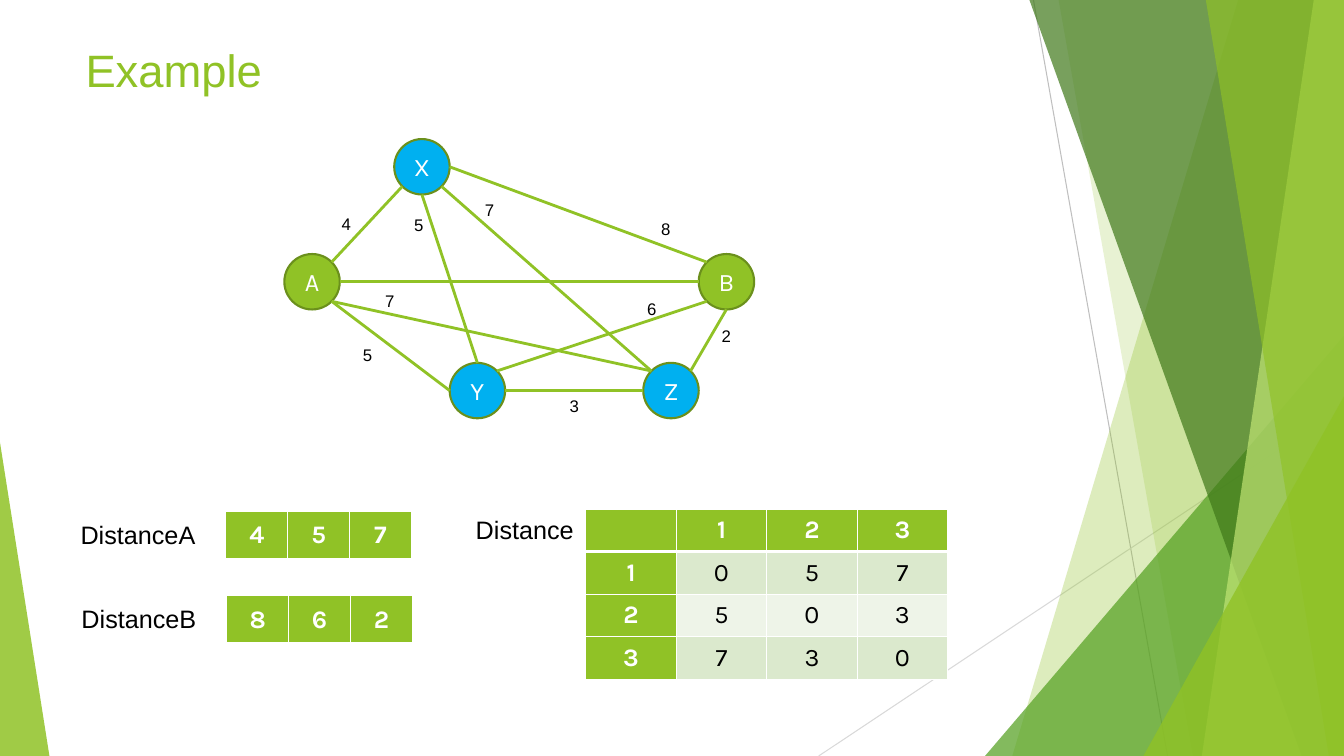
from math import hypot

from lxml.etree import SubElement
from pptx import Presentation
from pptx.dml.color import RGBColor
from pptx.enum.shapes import MSO_CONNECTOR, MSO_SHAPE
from pptx.enum.text import MSO_ANCHOR, PP_ALIGN
from pptx.oxml.ns import qn
from pptx.util import Inches, Pt

GREEN = RGBColor(0x90, 0xC2, 0x26)
MID_GREEN = RGBColor(0x54, 0xA0, 0x21)
DARK_GREEN = RGBColor(0x3F, 0x78, 0x19)
LIME = RGBColor(0xC0, 0xE4, 0x74)
OUTLINE = RGBColor(0x6B, 0x90, 0x1C)
BLUE = RGBColor(0x00, 0xB0, 0xF0)
BAND = RGBColor(0xDB, 0xE9, 0xCD)
PALE_BAND = RGBColor(0xEE, 0xF4, 0xE8)
GREY = RGBColor(0xBF, 0xBF, 0xBF)
LIGHT_GREY = RGBColor(0xD9, 0xD9, 0xD9)
WHITE = RGBColor(0xFF, 0xFF, 0xFF)
BLACK = RGBColor(0, 0, 0)

WIDTH, HEIGHT = 13.33, 7.5
NODE_SIZE = 0.55
NODES = {
    "X": (3.91, 1.38, BLUE),
    "A": (2.82, 2.52, GREEN),
    "B": (6.93, 2.52, GREEN),
    "Z": (6.38, 3.6, BLUE),
    "Y": (4.46, 3.6, BLUE),
}
SITES = {
    "N": (0, -1), "NE": (1, -1), "E": (1, 0), "SE": (1, 1),
    "S": (0, 1), "SW": (-1, 1), "W": (-1, 0), "NW": (-1, -1),
}
EDGES = [
    ("A", "NE", "X", "SW"), ("X", "S", "Y", "N"), ("Y", "E", "Z", "W"),
    ("Z", "NE", "B", "S"), ("Y", "NE", "B", "SW"), ("B", "NW", "X", "E"),
    ("A", "SE", "Y", "W"), ("A", "E", "B", "W"), ("X", "SE", "Z", "NW"),
    ("A", "SE", "Z", "NW"),
]
WEIGHTS = [
    ("4", 3.29, 2.07), ("5", 3.5, 3.37), ("7", 3.72, 2.83),
    ("8", 6.46, 2.12), ("6", 6.32, 2.91), ("2", 7.06, 3.18),
    ("5", 4.01, 2.08), ("7", 4.71, 1.93), ("3", 5.55, 3.88),
]
DISTANCES = [["", "1", "2", "3"], ["1", "0", "5", "7"],
             ["2", "5", "0", "3"], ["3", "7", "3", "0"]]


def set_font(p, size, name, color, bold=False):
    """Set the font of a whole paragraph."""
    p.font.size, p.font.name, p.font.bold = Pt(size), name, bold
    p.font.color.rgb = color


def add_line(s, start, end, color, width):
    """Draw a straight line between two points."""
    line = s.shapes.add_connector(
        MSO_CONNECTOR.STRAIGHT, *(Inches(v) for v in (*start, *end)))
    line.line.color.rgb, line.line.width = color, Pt(width)
    SubElement(line._element.spPr, qn("a:effectLst"))


def fill_facet(sp, color, opacity):
    """Give a background facet a translucent fill and no outline."""
    sp.shadow.inherit = False
    sp.fill.solid()
    sp.fill.fore_color.rgb = color
    sp.line.fill.background()
    clr = sp._element.spPr.find(qn("a:solidFill"))[0]
    SubElement(clr, qn("a:alpha"), val=str(opacity * 1000))


def add_panel(s, top_left, bottom_left, color, opacity):
    """Draw a slanted panel that reaches the right edge of the slide."""
    corners = [(top_left, 0), (WIDTH, 0), (WIDTH, HEIGHT), (bottom_left, HEIGHT)]
    points = [(Inches(x), Inches(y)) for x, y in corners]
    builder = s.shapes.build_freeform(*points[0])
    builder.add_line_segments(points[1:])
    fill_facet(builder.convert_to_shape(), color, opacity)


def add_corner(s, left, top, width, apex, color, opacity):
    """Draw a triangle standing on the bottom edge of the slide."""
    sp = s.shapes.add_shape(MSO_SHAPE.ISOSCELES_TRIANGLE, Inches(left), Inches(top),
                            Inches(width), Inches(HEIGHT - top))
    sp.adjustments[0] = apex
    fill_facet(sp, color, opacity)


def add_text(s, text, left, top, width, height, size, color=BLACK):
    """Add a one-line text box."""
    sp = s.shapes.add_textbox(Inches(left), Inches(top), Inches(width), Inches(height))
    tf = sp.text_frame
    tf.word_wrap = False
    tf.vertical_anchor = MSO_ANCHOR.MIDDLE
    tf.text = text
    set_font(tf.paragraphs[0], size, "Arial", color)


def add_node(s, name, left, top, color):
    """Draw a graph node with its letter."""
    sp = s.shapes.add_shape(MSO_SHAPE.OVAL, Inches(left), Inches(top),
                            Inches(NODE_SIZE), Inches(NODE_SIZE))
    sp.shadow.inherit = False
    sp.fill.solid()
    sp.fill.fore_color.rgb = color
    sp.line.color.rgb, sp.line.width = OUTLINE, Pt(1.5)
    tf = sp.text_frame
    tf.vertical_anchor = MSO_ANCHOR.MIDDLE
    tf.text = name
    p = tf.paragraphs[0]
    p.alignment = PP_ALIGN.CENTER
    set_font(p, 18, "Karla", WHITE)


def site_point(name, site):
    """Return the point on a node's rim in a compass direction."""
    left, top, _ = NODES[name]
    dx, dy = SITES[site]
    radius = NODE_SIZE / 2
    reach = radius / hypot(dx, dy)
    return left + radius + dx * reach, top + radius + dy * reach


def set_borders(cell, top, bottom):
    """Give a cell white borders."""
    tcPr = cell._tc.get_or_add_tcPr()
    for side, width in (("L", 1), ("R", 1), ("T", top), ("B", bottom)):
        ln = SubElement(tcPr, qn(f"a:ln{side}"), w=str(Pt(width)))
        fill = SubElement(ln, qn("a:solidFill"))
        SubElement(fill, qn("a:srgbClr"), val=str(WHITE))


def add_matrix(s, rows, left, top, width, height):
    """Add a table with a green first row and first column."""
    table = s.shapes.add_table(len(rows), len(rows[0]), Inches(left), Inches(top),
                               Inches(width), Inches(height)).table
    table.horz_banding = False
    table.first_row = False
    for i, row in enumerate(rows):
        for j, value in enumerate(row):
            cell = table.cell(i, j)
            header = i == 0 or j == 0
            set_borders(cell, 3 if i == 1 else 1, 3 if i == 0 else 1)
            cell.fill.solid()
            cell.fill.fore_color.rgb = GREEN if header else BAND if i % 2 else PALE_BAND
            cell.vertical_anchor = MSO_ANCHOR.MIDDLE
            cell.text = value
            p = cell.text_frame.paragraphs[0]
            p.alignment = PP_ALIGN.CENTER
            set_font(p, 18, "Karla", WHITE if header else BLACK, header)


def add_background(s):
    """Draw the faceted decoration at both sides."""
    add_line(s, (10.25, 0), (11.58, HEIGHT), GREY, 0.75)
    add_line(s, (WIDTH, 4.03), (8.12, HEIGHT), LIGHT_GREY, 0.75)
    add_panel(s, 12.28, 10.04, GREEN, 30)
    add_panel(s, 10.5, 11.83, GREEN, 20)
    add_corner(s, 9.77, 3.33, 3.56, 1, MID_GREEN, 72)
    add_panel(s, 10.21, 12.91, DARK_GREEN, 70)
    add_panel(s, 13.03, 11.92, LIME, 70)
    add_panel(s, 11.96, 13.18, GREEN, 65)
    add_corner(s, 11.34, 3.93, 1.99, 1, GREEN, 80)
    add_corner(s, 0, 4.39, 0.49, 0, GREEN, 85)


def main():
    """Build the slide and save it."""
    prs = Presentation()
    prs.slide_width, prs.slide_height = Inches(WIDTH), Inches(HEIGHT)
    s = prs.slides.add_slide(prs.slide_layouts[6])
    add_background(s)
    add_text(s, "Example", 0.75, 0.34, 9.4, 0.69, 32.4, GREEN)
    for name, (left, top, color) in NODES.items():
        add_node(s, name, left, top, color)
    for start, start_site, end, end_site in EDGES:
        add_line(s, site_point(start, start_site), site_point(end, end_site), GREEN, 2)
    for weight, left, top in WEIGHTS:
        add_text(s, weight, left, top, 0.29, 0.3, 12)
    add_matrix(s, [["4", "5", "7"]], 2.24, 5.07, 1.84, 0.48)
    add_text(s, "DistanceA", 0.7, 5.1, 1.35, 0.4, 18)
    add_matrix(s, [["8", "6", "2"]], 2.25, 5.91, 1.84, 0.48)
    add_text(s, "DistanceB", 0.71, 5.94, 1.35, 0.4, 18)
    add_matrix(s, DISTANCES, 5.81, 5.05, 3.59, 1.69)
    add_text(s, "Distance", 4.62, 5.05, 1.18, 0.4, 18)
    prs.save("out.pptx")


if __name__ == "__main__":
    main()
